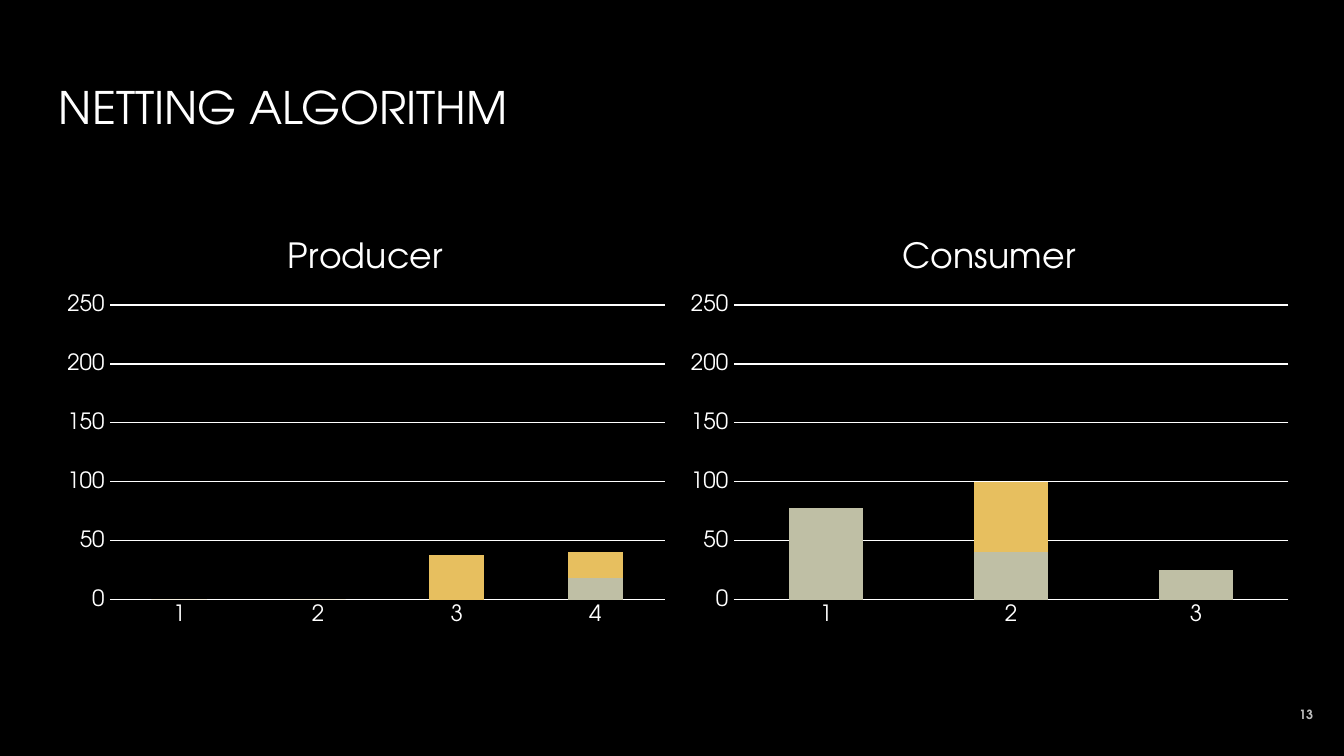
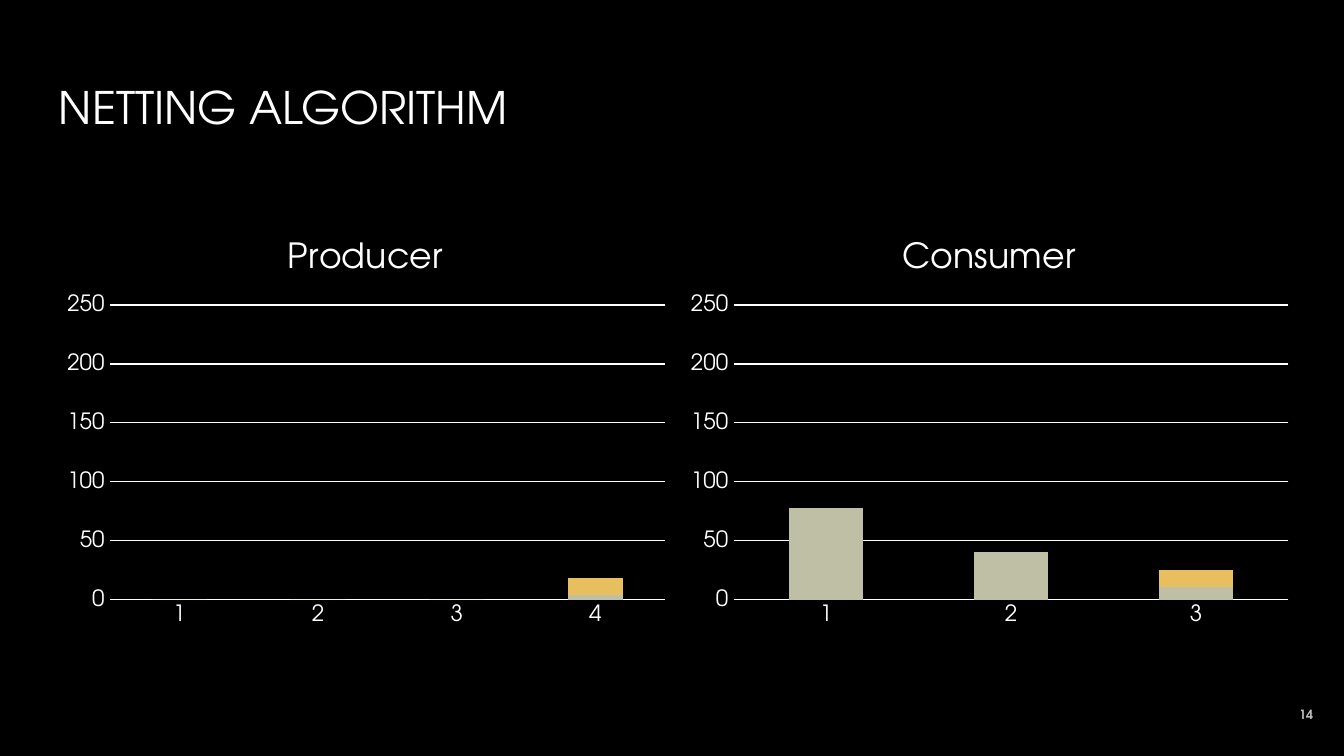
import pptx
import pptx.chart.data
import pptx.dml.color
import pptx.enum.chart
import pptx.enum.text
import pptx.util
from pptx.util import Inches
from lxml import etree

# Shared look
BLACK = pptx.dml.color.RGBColor(0x00, 0x00, 0x00)
WHITE = pptx.dml.color.RGBColor(0xFF, 0xFF, 0xFF)
TITLE_END = pptx.dml.color.RGBColor(0xA6, 0xA6, 0xA6)
NUMBER_GREY = pptx.dml.color.RGBColor(0xBF, 0xBF, 0xBF)
SAGE = pptx.dml.color.RGBColor(0xBF, 0xBF, 0xA5)
GOLD = pptx.dml.color.RGBColor(0xE7, 0xBF, 0x5F)
FONT = "TeX Gyre Adventor"

CHART_LEFT, CHART_TOP = 0.4, 1.62
CHART_WIDTH, CHART_HEIGHT = 4.64, 3.09
PLOT_AREA = {"x": 0.09, "y": 0.21, "w": 0.89, "h": 0.71}

# Each slide: number, then (chart title, remaining values, netted values)
SLIDES = [
    (13, [("Producer", (0, 0, 0, 18), (0, 0, 38, 22)),
          ("Consumer", (78, 40, 25), (0, 60, 0))]),
    (14, [("Producer", (0, 0, 0, 4), (0, 0, 0, 14)),
          ("Consumer", (78, 40, 11), (0, 0, 14))]),
]


def set_font(font, size, color=WHITE, bold=False):
    font.name = FONT
    font.size = pptx.util.Pt(size)
    font.bold = bold
    font.color.rgb = color


def add_text(slide, text, left, top, width, height):
    """Add a one-run text box; return its frame, paragraph and run."""
    box = slide.shapes.add_textbox(Inches(left), Inches(top), Inches(width), Inches(height))
    frame = box.text_frame
    frame.word_wrap = True
    frame.margin_left = frame.margin_right = Inches(0.1)
    frame.margin_top = frame.margin_bottom = Inches(0.1)
    paragraph = frame.paragraphs[0]
    run = paragraph.add_run()
    run.text = text
    return frame, paragraph, run


def add_title(slide, text):
    frame, _, run = add_text(slide, text, 0.34, 0.49, 9.32, 0.63)
    frame.vertical_anchor = pptx.enum.text.MSO_ANCHOR.TOP
    set_font(run.font, 24)
    fill = run.font.fill
    fill.gradient()
    fill.gradient_angle = 267
    for stop, color, position in zip(fill.gradient_stops, (WHITE, TITLE_END), (0, 1)):
        stop.color.rgb = color
        stop.position = position


def add_slide_number(slide, number):
    frame, paragraph, run = add_text(slide, str(number), 9.27, 5.1, 0.6, 0.43)
    frame.vertical_anchor = pptx.enum.text.MSO_ANCHOR.MIDDLE
    paragraph.alignment = pptx.enum.text.PP_ALIGN.RIGHT
    set_font(run.font, 6.8, NUMBER_GREY, bold=True)


def style_line(line):
    line.color.rgb = WHITE
    line.width = pptx.util.Pt(0.75)


def style_axis(axis):
    axis.major_tick_mark = pptx.enum.chart.XL_TICK_MARK.NONE
    axis.minor_tick_mark = pptx.enum.chart.XL_TICK_MARK.NONE
    set_font(axis.tick_labels.font, 12)


def fix_plot_area(chart):
    """Pin the inner plot area, in fractions of the chart."""
    plot_area = chart.element.chart.plotArea
    namespace = etree.QName(plot_area).namespace
    for old in plot_area.findall(f"{{{namespace}}}layout"):
        plot_area.remove(old)
    layout = etree.Element(f"{{{namespace}}}layout")
    plot_area.insert(0, layout)
    manual = etree.SubElement(layout, f"{{{namespace}}}manualLayout")
    settings = {"layoutTarget": "inner", "xMode": "edge", "yMode": "edge", **PLOT_AREA}
    for name, value in settings.items():
        etree.SubElement(manual, f"{{{namespace}}}{name}").set("val", str(value))


def add_stacked_chart(slide, column, title, remaining, netted):
    data = pptx.chart.data.CategoryChartData()
    data.categories = [str(index) for index in range(1, len(remaining) + 1)]
    data.add_series("Series 1", remaining)
    data.add_series("Series 2", netted)
    chart = slide.shapes.add_chart(
        pptx.enum.chart.XL_CHART_TYPE.COLUMN_STACKED,
        Inches(CHART_LEFT + column * CHART_WIDTH), Inches(CHART_TOP),
        Inches(CHART_WIDTH), Inches(CHART_HEIGHT), data).chart
    set_font(chart.font, 10)
    chart.has_legend = False

    # Chart title
    chart.has_title = True
    chart.chart_title.include_in_layout = False
    run = chart.chart_title.text_frame.paragraphs[0].add_run()
    run.text = title
    set_font(run.font, 18.6)

    # Axes
    style_axis(chart.category_axis)
    style_line(chart.category_axis.format.line)
    value_axis = chart.value_axis
    style_axis(value_axis)
    value_axis.format.line.fill.background()
    value_axis.minimum_scale, value_axis.maximum_scale = 0, 250
    value_axis.major_unit = 50
    value_axis.has_major_gridlines = True
    style_line(value_axis.major_gridlines.format.line)

    # Columns
    plot = chart.plots[0]
    plot.gap_width, plot.overlap = 150, 100
    plot.vary_by_categories = False
    for series, color in zip(plot.series, (SAGE, GOLD)):
        series.format.fill.solid()
        series.format.fill.fore_color.rgb = color
    fix_plot_area(chart)


def main():
    # Widescreen, 16:9
    presentation = pptx.Presentation()
    presentation.slide_width = Inches(10)
    presentation.slide_height = Inches(10) * 9 // 16
    for number, charts in SLIDES:
        slide = presentation.slides.add_slide(presentation.slide_layouts[6])
        slide.background.fill.solid()
        slide.background.fill.fore_color.rgb = BLACK
        add_title(slide, "NETTING ALGORITHM")
        for column, (title, remaining, netted) in enumerate(charts):
            add_stacked_chart(slide, column, title, remaining, netted)
        add_slide_number(slide, number)
    presentation.save("out.pptx")


if __name__ == "__main__":
    main()
